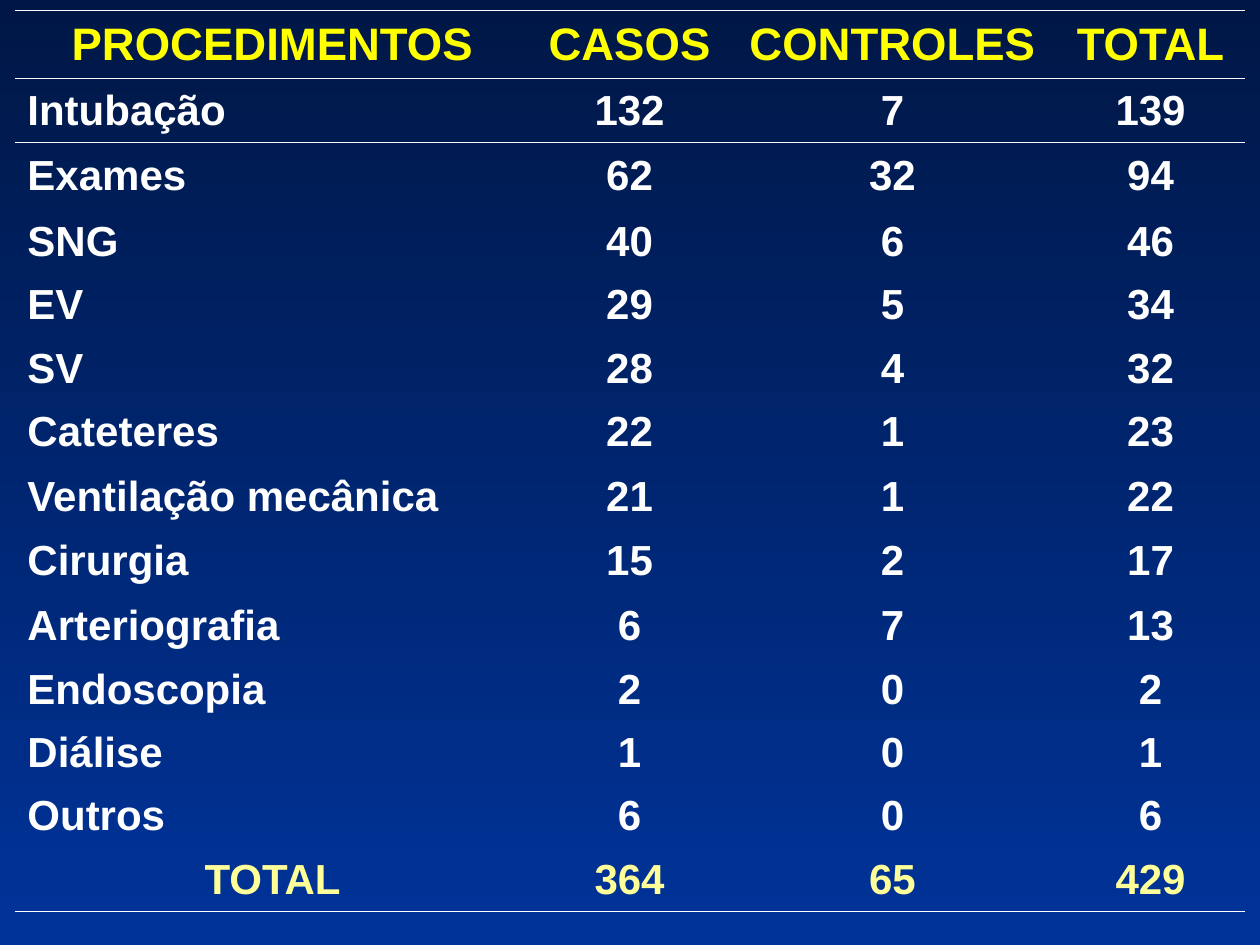
from lxml.etree import SubElement
from pptx import Presentation
from pptx.dml.color import RGBColor
from pptx.enum.text import MSO_ANCHOR, PP_ALIGN
from pptx.oxml import parse_xml
from pptx.oxml.ns import nsdecls, qn
from pptx.util import Pt

COLORS = {
    "night": "001746",
    "navy": "003399",
    "heading": "FFFF00",
    "body": "FFFFFF",
    "total": "FFFF99",
    "rule": "FFFFFF",
}
NO_STYLE = "{2D5ABB26-0587-4C30-8999-92F81FD0307C}"
HEADINGS = ("PROCEDIMENTOS", "CASOS", "CONTROLES", "TOTAL")
PROCEDURES = (
    ("Intubação", 132, 7, 139),
    ("Exames", 62, 32, 94),
    ("SNG", 40, 6, 46),
    ("EV", 29, 5, 34),
    ("SV", 28, 4, 32),
    ("Cateteres", 22, 1, 23),
    ("Ventilação mecânica", 21, 1, 22),
    ("Cirurgia", 15, 2, 17),
    ("Arteriografia", 6, 7, 13),
    ("Endoscopia", 2, 0, 2),
    ("Diálise", 1, 0, 1),
    ("Outros", 6, 0, 6),
)
TOTALS = ("TOTAL", 364, 65, 429)
COLUMN_WIDTHS = (294.5, 113.5, 187, 108)
ROW_HEIGHT = 36.2
TALL_ROWS = {0: 39, 2: 39, 7: 37.5, 8: 36.75, 9: 36.75}


def paint_background(slide):
    """Fill the slide with a gradient that runs from top to bottom."""
    fill = slide.background.fill
    fill.gradient()
    fill.gradient_angle = 270
    for stop, name in zip(fill.gradient_stops, ("night", "navy")):
        stop.color.rgb = RGBColor.from_string(COLORS[name])


def add_rule(cell, edge):
    """Draw a thin rule along the top (T) or bottom (B) of a cell."""
    rule = parse_xml(
        f'<a:ln{edge} {nsdecls("a")} w="{Pt(0.45)}"><a:solidFill>'
        f'<a:srgbClr val="{COLORS["rule"]}"/></a:solidFill></a:ln{edge}>'
    )
    cell._tc.get_or_add_tcPr().insert(0, rule)


def write_cell(cell, content, color, size, align, edges=""):
    """Write and format one cell, with rules on the given edges."""
    cell.text_frame.text = str(content)
    cell.vertical_anchor = MSO_ANCHOR.MIDDLE
    cell.fill.background()
    paragraph = cell.text_frame.paragraphs[0]
    paragraph.alignment = align
    font = paragraph.runs[0].font
    font.name = "Arial"
    font.size = Pt(size)
    font.bold = True
    font.color.rgb = RGBColor.from_string(COLORS[color])
    for edge in reversed(edges):
        add_rule(cell, edge)


def add_procedure_table(slide, left, top):
    """Place the table of procedures with its heading and total rows."""
    rows = (HEADINGS, *PROCEDURES, TOTALS)
    last = len(rows) - 1
    heights = [TALL_ROWS.get(index, ROW_HEIGHT) for index in range(len(rows))]
    table = slide.shapes.add_table(
        len(rows), len(HEADINGS), Pt(left), Pt(top),
        Pt(sum(COLUMN_WIDTHS)), Pt(sum(heights)),
    ).table
    table.first_row = table.horz_banding = False
    properties = table._tbl.tblPr
    for style in properties.findall(qn("a:tableStyleId")):
        properties.remove(style)
    SubElement(properties, qn("a:tableStyleId")).text = NO_STYLE
    for column, width in zip(table.columns, COLUMN_WIDTHS):
        column.width = Pt(width)
    for index, (row, height, contents) in enumerate(zip(table.rows, heights, rows)):
        row.height = Pt(height)
        color, size, edges = {
            0: ("heading", 26, "TB"),
            1: ("body", 24, "T"),
            last: ("total", 24, "B"),
        }.get(index, ("body", 24, ""))
        for position, (cell, content) in enumerate(zip(row.cells, contents)):
            is_label = position == 0 and 0 < index < last
            align = PP_ALIGN.LEFT if is_label else PP_ALIGN.CENTER
            write_cell(cell, content, color, size, align, edges)


def main():
    """Build the slide and save it."""
    presentation = Presentation()
    presentation.slide_width = Pt(720)
    presentation.slide_height = Pt(540)
    slide = presentation.slides.add_slide(presentation.slide_layouts[6])
    paint_background(slide)
    add_procedure_table(slide, 8.5, 6)
    presentation.save("out.pptx")


if __name__ == "__main__":
    main()
